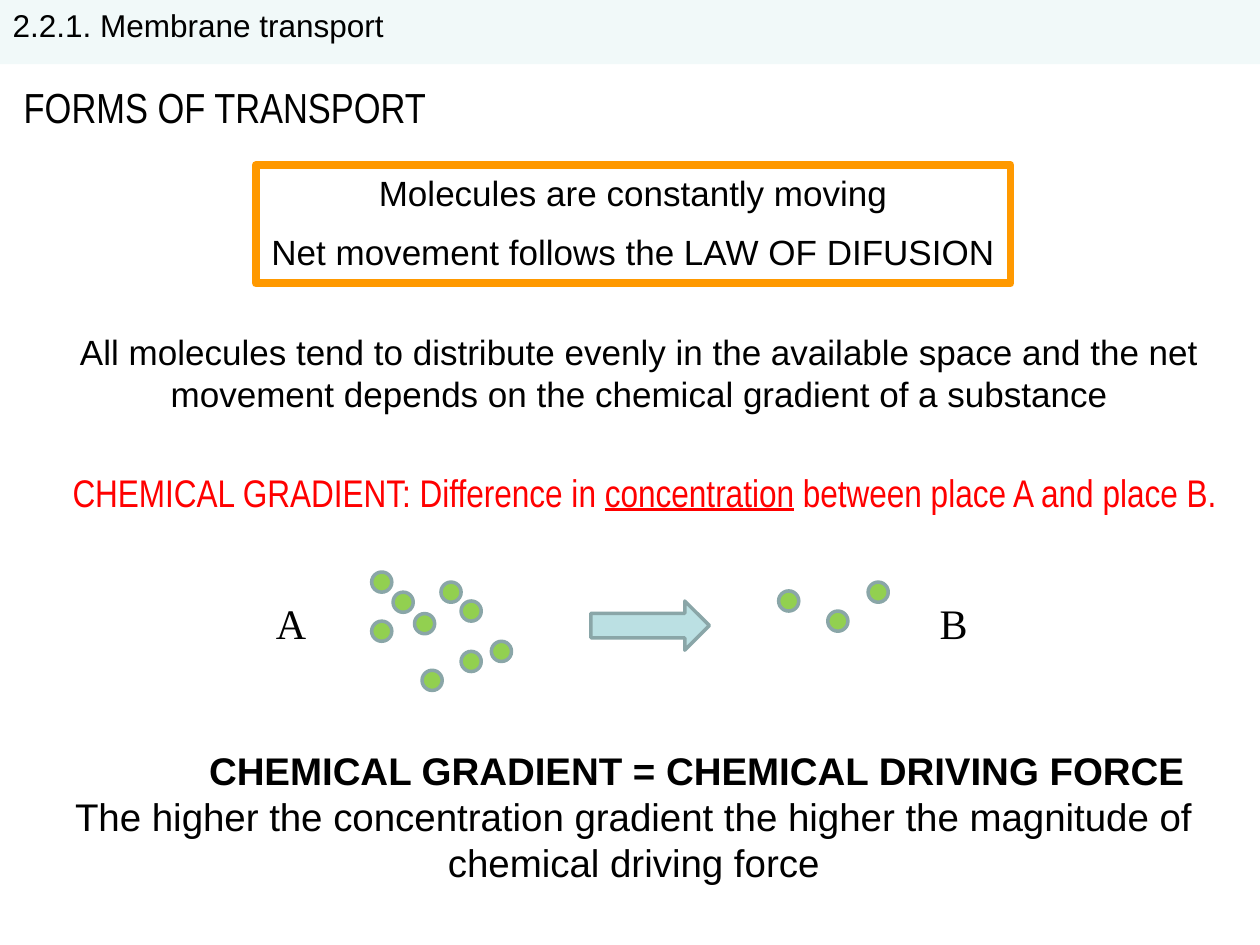
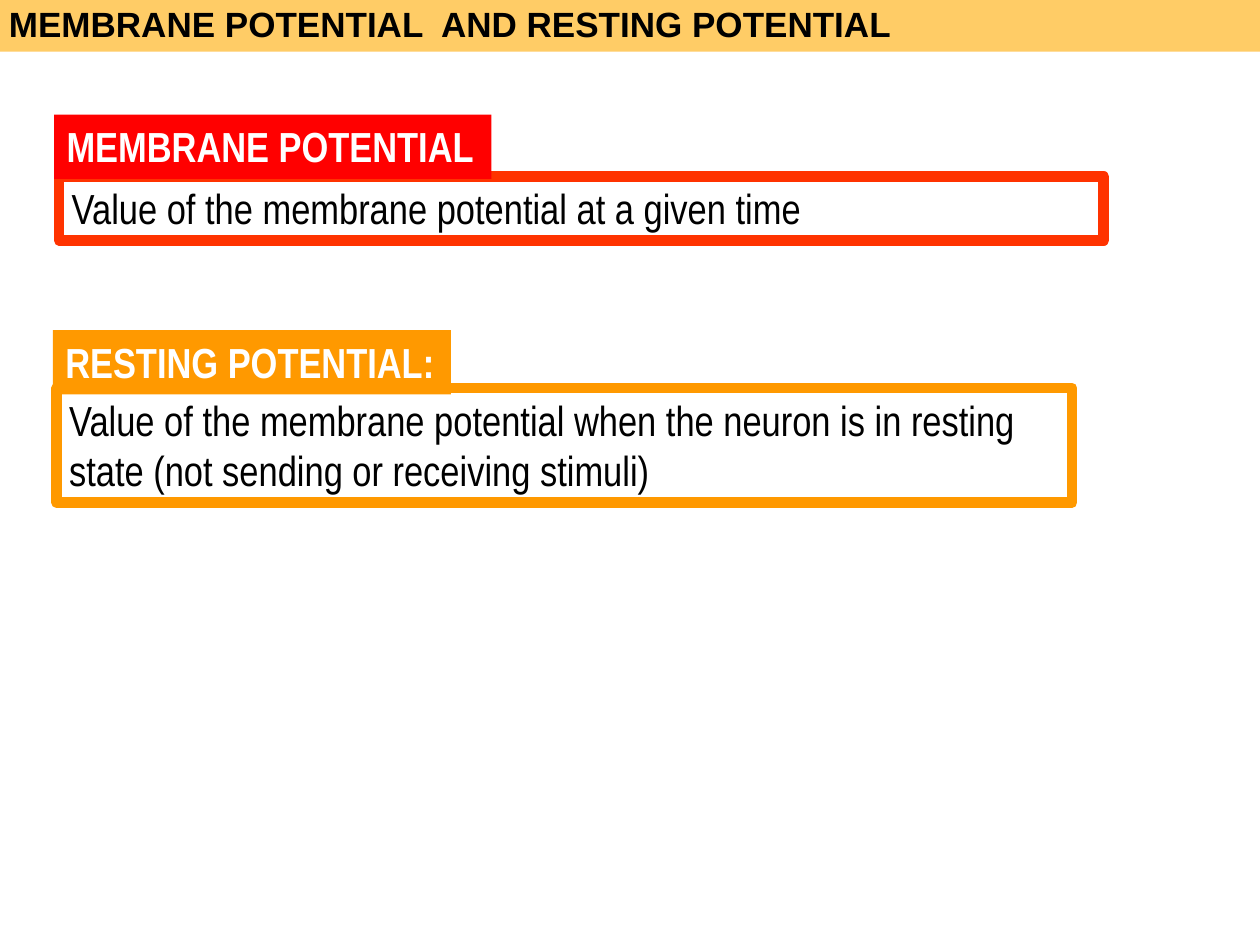
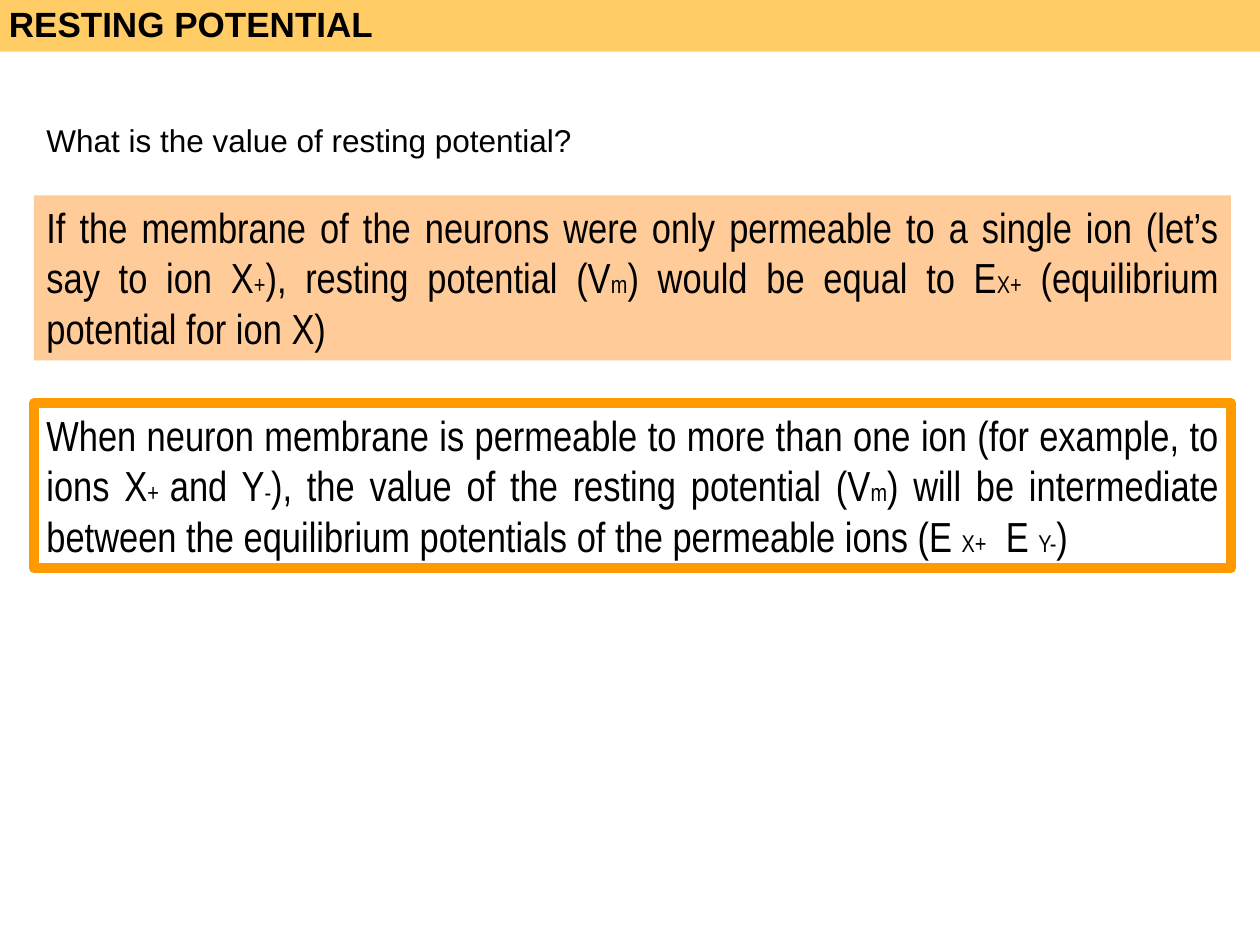
import pptx
import pptx.dml.color
import pptx.enum.shapes
import pptx.enum.text
import pptx.util
from dataclasses import dataclass

Inches = pptx.util.Inches
Pt = pptx.util.Pt
Shape = pptx.enum.shapes.MSO_SHAPE
Align = pptx.enum.text.PP_ALIGN


@dataclass(frozen=True)
class Theme:
    black: str = "000000"
    white: str = "FFFFFF"
    red: str = "FF0000"
    vermilion: str = "FF3300"
    orange: str = "FF9900"
    peach: str = "FFCC99"
    amber_band: str = "FFCC66"
    pale_band: str = "F1F9F9"
    green: str = "92D050"
    grey_teal: str = "8AA6A8"
    light_teal: str = "BBE0E3"
    sans: str = "Arial"
    narrow: str = "Arial Narrow"
    serif: str = "Times New Roman"
    small: int = 18
    body: int = 20
    strong: int = 22
    large: int = 24
    thin_line: float = 2
    frame_line: float = 4.5
    thick_line: float = 6
    superscript: int = 30
    subscript: int = -25


THEME = Theme()


@dataclass(frozen=True)
class Style:
    font: str = THEME.sans
    size: int = THEME.body
    colour: str = THEME.black
    bold: bool = False
    align: Align = Align.LEFT


@dataclass(frozen=True)
class Span:
    text: str
    baseline: int = 0
    underline: bool = False


NARROW = Style(THEME.narrow, THEME.large)
LABEL = Style(THEME.narrow, THEME.large, THEME.white, bold=True)
JUSTIFIED = Style(THEME.narrow, THEME.large, align=Align.JUSTIFY)
CENTRED = Style(align=Align.CENTER)
LETTER = Style(THEME.serif, THEME.large)


def sup(text):
    return Span(text, baseline=THEME.superscript)


def sub(text):
    return Span(text, baseline=THEME.subscript)


def rgb(colour):
    return pptx.dml.color.RGBColor.from_string(colour)


def place(shape, area):
    shape.left, shape.top, shape.width, shape.height = map(Inches, area)


def paint(shape, fill=None, line=None, width=THEME.thin_line):
    if fill:
        shape.fill.solid()
        shape.fill.fore_color.rgb = rgb(fill)
    else:
        shape.fill.background()
    if line:
        shape.line.color.rgb = rgb(line)
        shape.line.width = Pt(width)
    else:
        shape.line.fill.background()


def add_spans(para, spans, style):
    para.alignment = style.align
    for span in spans:
        if isinstance(span, str):
            span = Span(span)
        run = para.add_run()
        run.text = span.text
        font = run.font
        font.name, font.size, font.bold = style.font, Pt(style.size), style.bold
        font.color.rgb = rgb(style.colour)
        if span.underline:
            font.underline = True
        if span.baseline:
            font._element.set("baseline", str(span.baseline))


def write(shape, spans, style, wrap=True):
    """Fill the first paragraph of a shape, with its text at the top."""
    frame = shape.text_frame
    frame.word_wrap = wrap
    frame.auto_size = pptx.enum.text.MSO_AUTO_SIZE.NONE
    frame.vertical_anchor = pptx.enum.text.MSO_ANCHOR.TOP
    add_spans(frame.paragraphs[0], spans, style)
    return frame


def add_page(deck, title, area, fill, style):
    """Add a slide whose title is a coloured band across the top."""
    page = deck.slides.add_slide(deck.slide_layouts[5])
    band = page.shapes.title
    place(band, area)
    paint(band, fill)
    write(band, [title], style)
    return page


def add_amber_page(deck, title):
    return add_page(deck, title, (-0.03, -0.03, 10.03, 0.44),
                    THEME.amber_band, Style(bold=True))


def add_figure(shapes, kind, area, **colours):
    figure = shapes.add_shape(kind, *map(Inches, area))
    figure.shadow.inherit = False
    paint(figure, **colours)
    return figure


def add_text(page, area, spans, style, wrap=True):
    box = page.shapes.add_textbox(*map(Inches, area))
    return write(box, spans, style, wrap)


def add_molecules(page, positions):
    for left, top in positions:
        add_figure(page.shapes, Shape.OVAL, (left, top, 0.16, 0.16),
                   fill=THEME.green, line=THEME.grey_teal)


def add_definition(page, label, label_area, label_fill, meaning, frame_area, frame_colour):
    """Group a framed explanation with the coloured label above it."""
    shapes = page.shapes.add_group_shape().shapes
    frame = add_figure(shapes, Shape.RECTANGLE, frame_area,
                       line=frame_colour, width=THEME.thick_line)
    write(frame, [meaning], NARROW)
    tag = add_figure(shapes, Shape.RECTANGLE, label_area, fill=label_fill)
    write(tag, [label], LABEL, wrap=False)


def add_transport_page(deck):
    page = add_page(deck, "2.2.1. Membrane transport", (0, 0, 10, 0.51),
                    THEME.pale_band, Style(size=THEME.small))
    add_text(page, (0.09, 0.6, 3.43, 0.5), ["FORMS OF TRANSPORT"], NARROW, wrap=False)

    law = add_figure(page.shapes, Shape.RECTANGLE, (2.03, 1.31, 5.99, 0.94),
                     line=THEME.orange, width=THEME.frame_line)
    frame = write(law, ["Molecules are constantly moving"], CENTRED, wrap=False)
    para = frame.add_paragraph()
    para.space_before = Pt(THEME.body / 2)
    add_spans(para, ["Net movement follows the LAW OF DIFUSION"], CENTRED)

    add_text(page, (0.35, 2.57, 9.45, 0.77),
             ["All molecules tend to distribute evenly in the available space and the net "
              "movement depends on the chemical gradient of a substance"], CENTRED)
    add_text(page, (0.43, 3.67, 9.37, 0.47),
             ["CHEMICAL GRADIENT: Difference in ", Span("concentration", underline=True),
              " between place A and place B."],
             Style(THEME.narrow, THEME.strong, THEME.red, align=Align.CENTER))

    add_molecules(page, [(2.95, 4.54), (2.95, 4.93), (3.66, 4.77), (3.35, 5.32),
                         (3.5, 4.62), (3.66, 5.17), (3.12, 4.7), (3.29, 4.87),
                         (3.9, 5.09)])
    add_molecules(page, [(6.89, 4.62), (6.57, 4.85), (6.18, 4.69)])
    add_figure(page.shapes, Shape.RIGHT_ARROW, (4.69, 4.77, 0.94, 0.39),
               fill=THEME.light_teal, line=THEME.grey_teal)
    for letter, left in (("A", 2.09), ("B", 7.36)):
        add_text(page, (left, 4.69, 0.55, 0.51), [letter], LETTER)

    frame = add_text(page, (0.03, 5.88, 10, 1.21),
                     ["CHEMICAL GRADIENT = CHEMICAL DRIVING FORCE"],
                     Style(size=THEME.strong, bold=True, align=Align.CENTER))
    frame.paragraphs[0]._p.get_or_add_pPr().set("marL", str(Inches(1)))
    add_spans(frame.add_paragraph(),
              ["The higher the concentration gradient the higher the magnitude of "
               "chemical driving force"],
              Style(size=THEME.strong, align=Align.CENTER))


def add_definitions_page(deck):
    page = add_amber_page(deck, "MEMBRANE POTENTIAL  AND RESTING POTENTIAL")
    add_definition(page, "MEMBRANE POTENTIAL", (0.43, 0.91, 3.47, 0.51), THEME.red,
                   "Value of the membrane potential at a given time",
                   (0.47, 1.4, 8.29, 0.51), THEME.vermilion)
    add_definition(page, "RESTING POTENTIAL:", (0.42, 2.62, 3.16, 0.51), THEME.orange,
                   "Value of the membrane potential when the neuron is in resting "
                   "state (not sending or receiving stimuli)",
                   (0.45, 3.08, 8.06, 0.91), THEME.orange)


def add_resting_page(deck):
    page = add_amber_page(deck, "RESTING POTENTIAL")
    add_text(page, (0.27, 0.91, 8.11, 0.4), ["What is the value of resting potential?"],
             Style(size=THEME.small))
    single_ion = add_figure(page.shapes, Shape.RECTANGLE, (0.27, 1.55, 9.5, 1.31),
                            fill=THEME.peach)
    write(single_ion,
          ["If the membrane of the neurons were only permeable to a single ion "
           "(let’s say to ion X", sup("+"), "), resting potential (V", sub("m"),
           ") would be equal to E", sub("X+"), " (equilibrium potential for ion X)"],
          JUSTIFIED)
    several_ions = add_figure(page.shapes, Shape.RECTANGLE, (0.27, 3.2, 9.5, 1.31),
                              fill=THEME.white, line=THEME.orange, width=THEME.thick_line)
    write(several_ions,
          ["When neuron membrane is permeable to more than one ion "
           "(for example, to ions X", sup("+ "), "and Y", sup("-"),
           "), the value of the resting potential (V", sub("m"),
           ") will be intermediate between the equilibrium potentials of the "
           "permeable ions (E ", sub("X"), sup("+"), "  E ", sub("Y"), sup("-"), ")"],
          JUSTIFIED)


def main():
    deck = pptx.Presentation()
    deck.slide_width, deck.slide_height = Inches(10), Inches(7.5)
    add_transport_page(deck)
    add_definitions_page(deck)
    add_resting_page(deck)
    deck.save("out.pptx")


if __name__ == "__main__":
    main()
